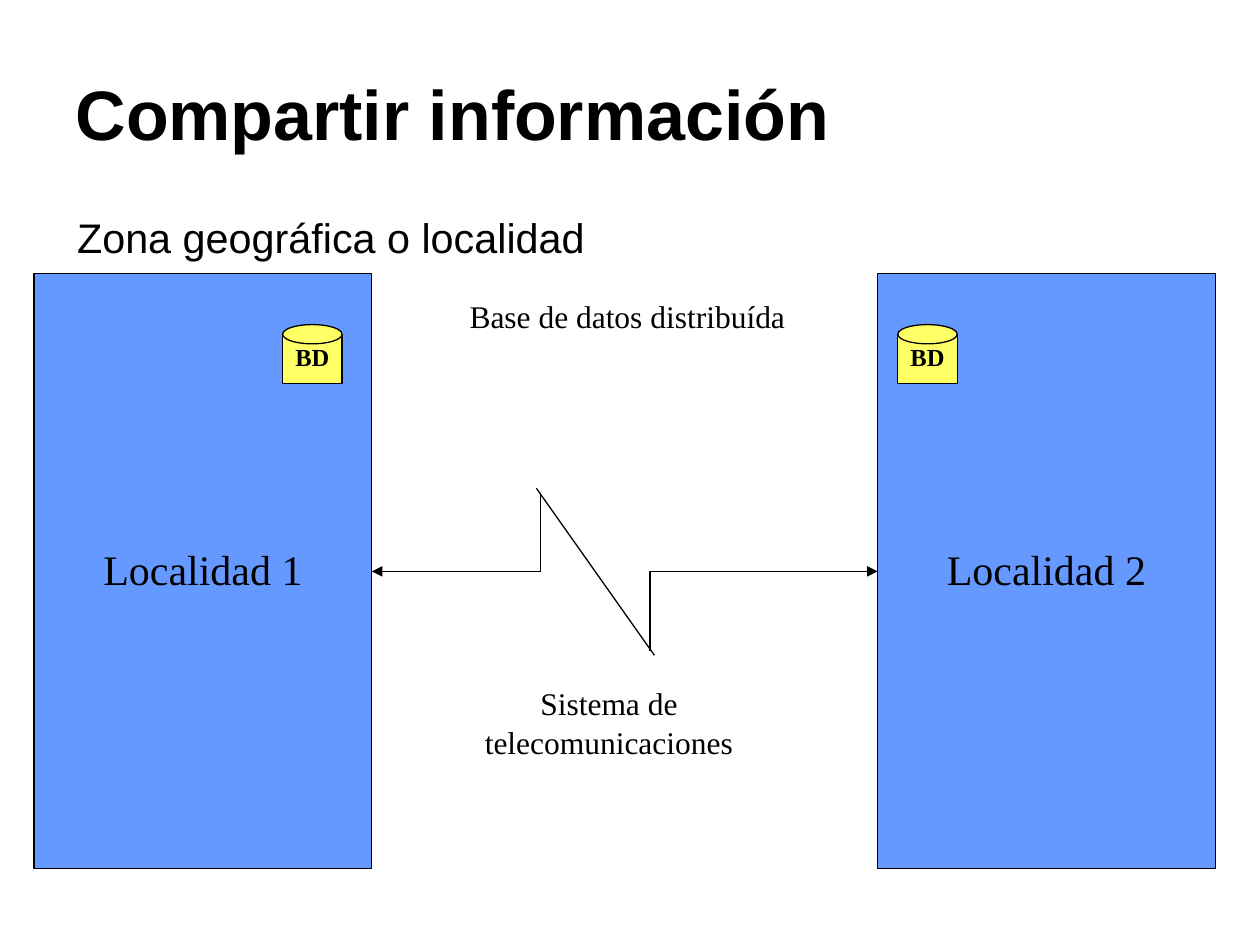
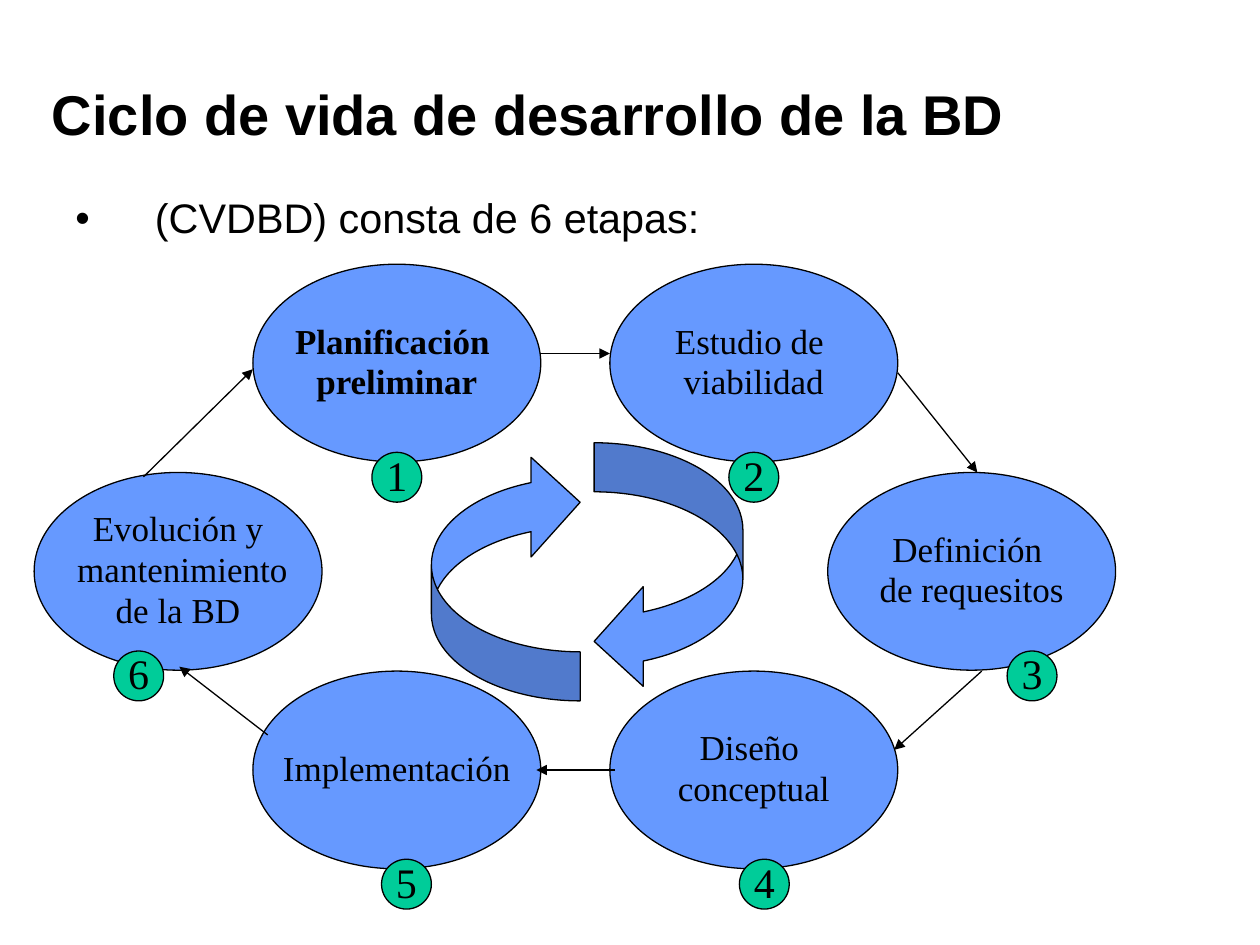
from lxml.etree import SubElement
from pptx import Presentation
from pptx.dml.color import RGBColor
from pptx.enum.shapes import MSO_CONNECTOR, MSO_SHAPE as SHAPE
from pptx.enum.text import MSO_ANCHOR as ANCHOR, MSO_AUTO_SIZE, PP_ALIGN as ALIGN
from pptx.oxml.ns import qn
from pptx.util import Pt

BLACK, BLUE, YELLOW, GREEN = "000000", "6699FF", "FFFF66", "00CC99"
SANS, SERIF = "Arial", "Times New Roman"
LINE_WIDTH = 0.75
TITLE_ONLY = 5


def rgb(color):
    return RGBColor.from_string(color)


def format_runs(p, size, font, bold=False):
    for r in p.runs:
        r.font.size = Pt(size)
        r.font.name = font
        r.font.bold = bold
        r.font.color.rgb = rgb(BLACK)


def add_slide(prs, title, left, width, size):
    s = prs.slides.add_slide(prs.slide_layouts[TITLE_ONLY])
    sp = s.shapes.title
    sp.left, sp.top, sp.width, sp.height = Pt(left), Pt(41.5), Pt(width), Pt(51)
    tf = sp.text_frame
    tf.text = title
    tf.auto_size = MSO_AUTO_SIZE.NONE
    tf.vertical_anchor = ANCHOR.MIDDLE
    p = tf.paragraphs[0]
    p.alignment = ALIGN.LEFT
    p.line_spacing = 0.92
    format_runs(p, size, SANS, bold=True)
    return s


def add_lead(s, text, left, top, bullet=None):
    """Add the line under the title, with a hanging bullet if one is given."""
    sp = s.shapes.add_textbox(Pt(left), Pt(top), Pt(648), Pt(36))
    tf = sp.text_frame
    tf.word_wrap = True
    tf.text = text
    p = tf.paragraphs[0]
    if bullet:
        pPr = p._p.get_or_add_pPr()
        pPr.set("marL", str(Pt(45.5)))
        pPr.set("indent", str(-Pt(45.5)))
        SubElement(pPr, qn("a:buFont"), typeface=SANS)
        SubElement(pPr, qn("a:buChar"), char=bullet)
    p.line_spacing = 0.94
    format_runs(p, 23.6, SANS)


def set_centred_text(sp, lines, size, bold=False, rest=0.98):
    """Write one paragraph per line; rest is the spacing of all but the first."""
    tf = sp.text_frame
    tf.word_wrap = False
    tf.margin_left = tf.margin_right = 0
    tf.text = "\n".join(lines)
    for i, p in enumerate(tf.paragraphs):
        p.alignment = ALIGN.CENTER
        p.line_spacing = rest if i else 0.92
        format_runs(p, size, SERIF, bold)


def add_label(s, lines, left, top, width, height):
    sp = s.shapes.add_textbox(Pt(left), Pt(top), Pt(width), Pt(height))
    set_centred_text(sp, lines, 18, rest=1.02)


def add_figure(s, kind, left, top, width, height, fill, lines=(), size=20, bold=False):
    sp = s.shapes.add_shape(kind, Pt(left), Pt(top), Pt(width), Pt(height))
    sp.shadow.inherit = False
    sp.fill.solid()
    sp.fill.fore_color.rgb = rgb(fill)
    sp.line.color.rgb = rgb(BLACK)
    sp.line.width = Pt(LINE_WIDTH)
    if lines:
        tf = sp.text_frame
        tf.margin_top = tf.margin_bottom = 0
        tf.vertical_anchor = ANCHOR.MIDDLE
        set_centred_text(sp, lines, size, bold)
    return sp


def add_line(s, start, end, arrow=False):
    points = [Pt(v) for v in (*start, *end)]
    cx = s.shapes.add_connector(MSO_CONNECTOR.STRAIGHT, *points)
    cx.line.color.rgb = rgb(BLACK)
    cx.line.width = Pt(LINE_WIDTH)
    if arrow:
        SubElement(cx.line._get_or_add_ln(), qn("a:tailEnd"), type="triangle")
    SubElement(cx._element.spPr, qn("a:effectLst"))
    return cx


def add_database(s, left):
    add_figure(s, SHAPE.RECTANGLE, left, 191, 34, 28, YELLOW, ["BD"], 14, True)
    add_figure(s, SHAPE.OVAL, left, 185.5, 34, 11, YELLOW)


def add_curved_arrow(s, left, top, rotation=0):
    sp = add_figure(s, SHAPE.CURVED_LEFT_ARROW, left, top, 85, 142, BLUE)
    for i, value in enumerate((0.33, 0.67, 0.33)):
        sp.adjustments[i] = value
    sp.rotation = rotation


def build_sharing(prs):
    s = add_slide(prs, "Compartir información", 36, 514, 40)
    add_lead(s, "Zona geográfica o localidad", 37, 120)
    site_1, site_2 = (
        add_figure(s, SHAPE.RECTANGLE, left, 156.5, 193, 340, BLUE, [name], 24)
        for left, name in ((19.5, "Localidad 1"), (501.5, "Localidad 2")))

    middle, left_x, right_x = 326.5, 309, 371.5
    add_line(s, (right_x, middle), (501.5, middle), arrow=True).end_connect(site_2, 1)
    add_line(s, (right_x, middle), (right_x, 372))
    add_line(s, (374, 374.5), (306.5, 279))
    add_line(s, (left_x, 281.5), (left_x, middle))
    add_line(s, (left_x, middle), (212.5, middle), arrow=True).end_connect(site_1, 3)

    add_label(s, ["Sistema de", "telecomunicaciones"], 270, 389.5, 156, 50)
    for left in (161.5, 513):
        add_database(s, left)
    add_label(s, ["Base de datos distribuída"], 261, 168, 195, 27)


def build_life_cycle(prs):
    s = add_slide(prs, "Ciclo de vida de desarrollo de la BD", 22.5, 618, 32)
    add_lead(s, "(CVDBD) consta de 6 etapas:", 36, 108.5, bullet="•")

    # Stage text, stage left and top, badge left and top, in order of number
    stages = [
        (["Planificación ", "preliminar"], 144.5, 151, 212.5, 258.5),
        (["Estudio de ", "viabilidad"], 348.5, 151, 416.5, 258.5),
        (["Definición ", "de requesitos"], 473, 270, 575.5, 372),
        (["Diseño ", "conceptual"], 348.5, 383.5, 422.5, 491),
        (["Implementación"], 144.5, 383.5, 218, 491),
        (["Evolución y", " mantenimiento", "de la BD"], 19.5, 270, 65, 372),
    ]
    for number, (lines, left, top, _, _) in enumerate(stages, 1):
        add_figure(s, SHAPE.OVAL, left, top, 164.5, 113, BLUE, lines, bold=number == 1)

    steps = [
        ((308.5, 202), (348.5, 202)),
        ((513, 213), (558.5, 270)),
        ((561, 383.5), (511, 428.5)),
        ((351.5, 440), (306.5, 440)),
        ((153, 420), (102.5, 381)),
        ((82, 272.5), (144.5, 211)),
    ]
    for start, end in steps:
        add_line(s, start, end, arrow=True)

    for number, (_, _, _, left, top) in enumerate(stages, 1):
        add_figure(s, SHAPE.OVAL, left, top, 28.5, 28.5, GREEN, [str(number)], 24)

    add_curved_arrow(s, 339.5, 253)
    add_curved_arrow(s, 246.5, 258.5, rotation=180)


def main():
    prs = Presentation()
    prs.slide_width, prs.slide_height = Pt(720), Pt(540)
    build_sharing(prs)
    build_life_cycle(prs)
    prs.save("out.pptx")


if __name__ == "__main__":
    main()
